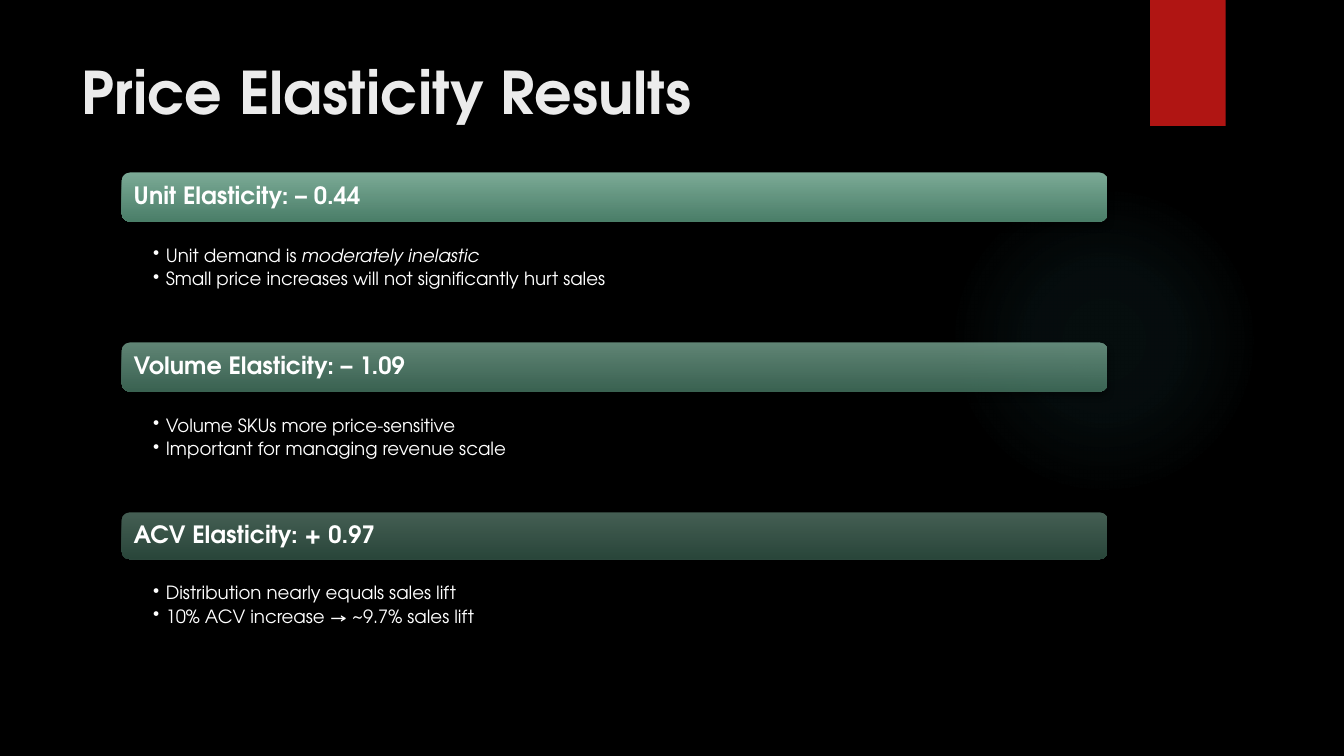
from dataclasses import dataclass

from lxml.etree import SubElement
from pptx import Presentation
from pptx.dml.color import RGBColor
from pptx.enum.shapes import MSO_SHAPE as Preset
from pptx.enum.text import MSO_ANCHOR as Anchor, MSO_AUTO_SIZE as AutoSize, PP_ALIGN as Align
from pptx.oxml import parse_xml
from pptx.oxml.ns import nsdecls, qn
from pptx.util import Pt


@dataclass(frozen=True)
class Theme:
    font: str = "TeX Gyre Adventor"
    background: str = "000000"
    shadow: str = "000000"
    glow: str = "50B9C1"
    ribbon: str = "B01513"
    title: str = "EBEBEB"
    text: str = "FFFFFF"
    bar_top: str = "89BDA7"
    bar_bottom: str = "538C74"
    title_size: float = 42
    heading_size: float = 17
    bullet_size: float = 13


THEME = Theme()

RESULTS = [
    ("Unit Elasticity: – 0.44", 90, 35.2,
     [[("Unit demand is ", False), ("moderately inelastic", True)],
      [("Small price increases will not significantly hurt sales", False)]]),
    ("Volume Elasticity: – 1.09", 70, 35.2,
     [[("Volume SKUs more price-sensitive", False)],
      [("Important for managing revenue scale", False)]]),
    ("ACV Elasticity: + 0.97", 50, 33.4,
     [[("Distribution nearly equals sales lift", False)],
      [("10% ACV increase → ~9.7% sales lift", False)]]),
]


def style_font(font, size, color, bold=False, italic=False):
    font.name = THEME.font
    font.size = Pt(size)
    font.bold = bold
    font.italic = italic
    font.color.rgb = RGBColor.from_string(color)


def set_insets(frame, left, top, right, bottom):
    frame.margin_left, frame.margin_top = Pt(left), Pt(top)
    frame.margin_right, frame.margin_bottom = Pt(right), Pt(bottom)


def add_plain_shape(page, preset, box):
    shape = page.shapes.add_shape(preset, *map(Pt, box))
    shape.shadow.inherit = False
    shape.fill.background()
    shape.line.fill.background()
    return shape


def set_gradient(shape, stops, direction):
    stop_xml = "".join(
        f'<a:gs pos="{place * 1000}"><a:srgbClr val="{color}">'
        f'<a:alpha val="{alpha * 1000}"/></a:srgbClr></a:gs>'
        for place, color, alpha in stops)
    gradient = parse_xml(
        f'<a:gradFill {nsdecls("a")} rotWithShape="1">'
        f"<a:gsLst>{stop_xml}</a:gsLst>{direction}</a:gradFill>")
    properties = shape.element.spPr
    properties.replace(properties.find(qn("a:noFill")), gradient)


def set_shadow(shape, alpha, blur, distance):
    effects = shape.element.spPr.find(qn("a:effectLst"))
    shadow = SubElement(effects, qn("a:outerShdw"), blurRad=str(Pt(blur)),
                        dist=str(Pt(distance)), dir="5400000", rotWithShape="0")
    color = SubElement(shadow, qn("a:srgbClr"), val=THEME.shadow)
    SubElement(color, qn("a:alpha"), val=str(alpha * 1000))


def add_backdrop(page, glow_box, ribbon_box):
    page.background.fill.solid()
    page.background.fill.fore_color.rgb = RGBColor.from_string(THEME.background)
    glow = add_plain_shape(page, Preset.OVAL, glow_box)
    set_gradient(glow, [(0, THEME.glow, 7), (36, THEME.glow, 6), (69, THEME.glow, 0)],
                 '<a:path path="circle"><a:fillToRect l="50000" t="50000" '
                 'r="50000" b="50000"/></a:path>')
    ribbon = add_plain_shape(page, Preset.RECTANGLE, ribbon_box)
    ribbon.fill.solid()
    ribbon.fill.fore_color.rgb = RGBColor.from_string(THEME.ribbon)
    set_shadow(ribbon, 45, 3, 2)


def add_title(page, box, text):
    title = page.shapes.title
    title.left, title.top, title.width, title.height = map(Pt, box)
    frame = title.text_frame
    frame.text = text
    frame.word_wrap = True
    frame.auto_size = AutoSize.NONE
    frame.vertical_anchor = Anchor.TOP
    para = frame.paragraphs[0]
    para.alignment = Align.LEFT
    style_font(para.runs[0].font, THEME.title_size, THEME.title, bold=True)


def add_bar(page, box, heading, opacity):
    bar = add_plain_shape(page, Preset.ROUNDED_RECTANGLE, box)
    set_gradient(bar, [(0, THEME.bar_top, opacity), (100, THEME.bar_bottom, opacity)],
                 '<a:lin ang="5400000" scaled="0"/>')
    set_shadow(bar, 60, 5, 3)
    frame = bar.text_frame
    frame.text = heading
    frame.word_wrap = True
    frame.vertical_anchor = Anchor.MIDDLE
    set_insets(frame, 6.8, 5, 6.8, 5)
    para = frame.paragraphs[0]
    para.alignment = Align.LEFT
    para.line_spacing = 0.9
    style_font(para.runs[0].font, THEME.heading_size, THEME.text, bold=True)


def add_bullets(page, box, items):
    frame = page.shapes.add_textbox(*map(Pt, box)).text_frame
    frame.word_wrap = True
    set_insets(frame, 22.4, 1.5, 9.4, 1.5)
    for index, parts in enumerate(items):
        para = frame.paragraphs[0] if index == 0 else frame.add_paragraph()
        properties = para._p.get_or_add_pPr()
        properties.set("marL", str(Pt(9)))
        properties.set("indent", str(Pt(-9)))
        SubElement(properties, qn("a:buChar"), char="•")
        para.line_spacing = 0.9
        para.space_after = Pt(2.6)
        for text, italic in parts:
            span = para.add_run()
            span.text = text
            style_font(span.font, THEME.bullet_size, THEME.text, italic=italic)


def add_results(page, box, results):
    left, top, width, height = box
    pitch = height / len(results)
    list_gap = 16.4
    for index, (heading, opacity, bar_height, items) in enumerate(results):
        bar_top = top + index * pitch
        list_top = bar_top + bar_height + list_gap
        add_bar(page, (left, bar_top, width, bar_height), heading, opacity)
        add_bullets(page, (left, list_top, width, bar_top + pitch - list_top), items)


def main():
    deck = Presentation()
    deck.slide_width, deck.slide_height = Pt(960), Pt(540)
    page = deck.slides.add_slide(deck.slide_layouts[5])
    add_backdrop(page, (677.5, 131.8, 221.8, 221.8), (821.5, 0, 54, 90))
    add_title(page, (51, 36, 741, 110), "Price Elasticity Results")
    add_results(page, (87, 123.2, 704.2, 364.2), RESULTS)
    deck.save("out.pptx")


if __name__ == "__main__":
    main()
